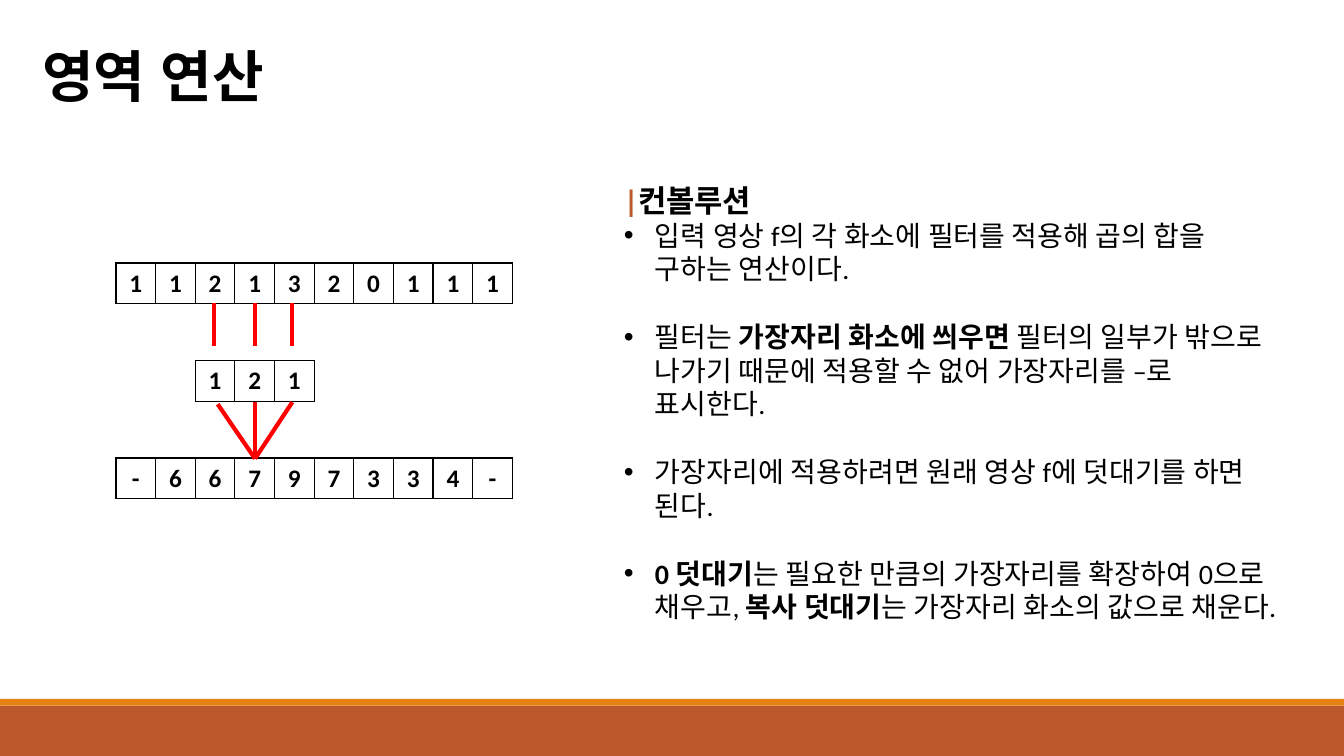
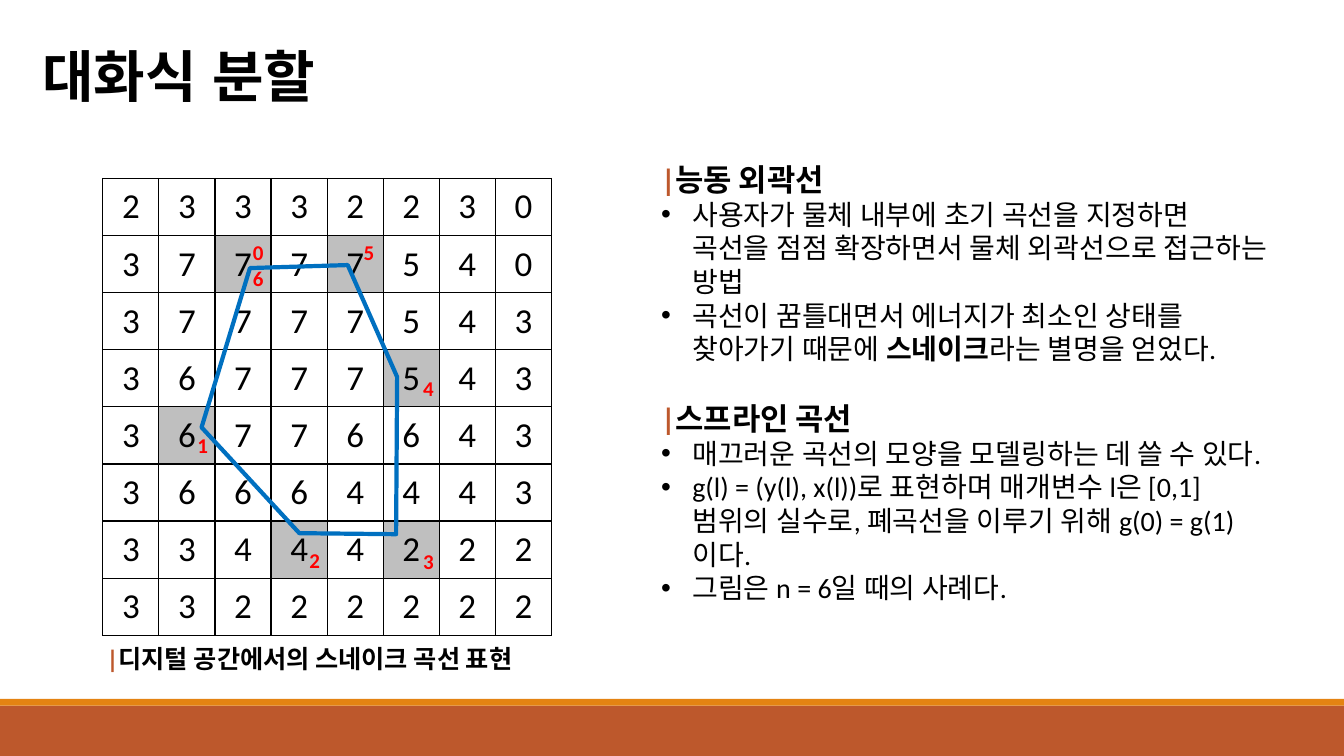
from lxml import etree
from pptx import Presentation
from pptx import util as u
from pptx.dml.color import RGBColor
from pptx.enum import lang, shapes, text
from pptx.oxml.ns import qn

# The slide is a grid of square cells, three to the inch.
CELL = u.Inches(1) // 3
COLUMNS, ROWS = 40, 22.5

BLACK, WHITE, GREY = "000000", "FFFFFF", "BFBFBF"
RUST, ORANGE, RED, BLUE = "BD582C", "E48312", "FF0000", "0070C0"
TITLE_FONT, BODY_FONT = "Noto Sans CJK KR", "Calibri"
BLANK_LINE = 24.4


def color(code):
    return RGBColor.from_string(code)


def grid(*cells):
    """Turn grid cells into lengths."""
    return [u.Emu(round(count * CELL)) for count in cells]


def write(para, words, size=20, fill=BLACK, bold=False, font=BODY_FONT):
    """Add a span to a paragraph, with one font for Latin and Korean."""
    span = para.add_run()
    span.text = words
    span.font.size, span.font.bold, span.font.name = u.Pt(size), bold, font
    span.font.color.rgb = color(fill)
    span.font.language_id = lang.MSO_LANGUAGE_ID.KOREAN
    latin = span.font._element.find(qn("a:latin"))
    east_asian = etree.Element(qn("a:ea"), typeface=font)
    latin.addnext(east_asian)


def write_heading(para, words, size=22):
    write(para, "|", size=size, fill=RUST, bold=True)
    write(para, words, size=size, bold=True)


def write_bullet(para, words):
    """Write a bulleted paragraph; words between ** are bold."""
    properties = para._p.get_or_add_pPr()
    indent = u.Inches(0.31)
    properties.set("marL", str(indent))
    properties.set("indent", str(-indent))
    etree.SubElement(properties, qn("a:buFont"), typeface="Arial")
    etree.SubElement(properties, qn("a:buChar"), char="•")
    for index, part in enumerate(words.split("**")):
        if part:
            write(para, part, bold=index % 2 == 1)


def add_borders(cell):
    properties = cell._tc.get_or_add_tcPr()
    for index, side in enumerate(("lnL", "lnR", "lnT", "lnB")):
        line = etree.Element(qn(f"a:{side}"), w=str(u.Pt(1)))
        fill = etree.SubElement(line, qn("a:solidFill"))
        etree.SubElement(fill, qn("a:srgbClr"), val=BLACK)
        properties.insert(index, line)


class Lecture:
    """The deck, its shared style and the slide being filled."""

    def __init__(self):
        self.deck = Presentation()
        self.deck.slide_width, self.deck.slide_height = grid(COLUMNS, ROWS)
        self.layout = self.deck.slide_layouts.get_by_name("Title Only")
        self.page = None

    def open_slide(self, title, width):
        first = self.page is None
        self.page = self.deck.slides.add_slide(self.layout)
        if first:
            self.add_layout_band(21, 1.5, RUST)
            self.add_layout_band(20.8, 0.2, ORANGE)
        box = self.page.shapes.title
        box.left, box.top, box.width, box.height = grid(0.96, 1.08, width, 2.3)
        frame = box.text_frame
        frame.auto_size = text.MSO_AUTO_SIZE.NONE
        frame.vertical_anchor = text.MSO_ANCHOR.MIDDLE
        para = frame.paragraphs[0]
        para.alignment = text.PP_ALIGN.LEFT
        write(para, title, size=40, bold=True, font=TITLE_FONT)

    def add_layout_band(self, row, height, fill):
        """Draw a full-width band and hand it to the layout."""
        band = self.page.shapes.add_shape(
            shapes.MSO_SHAPE.RECTANGLE, *grid(0, row, COLUMNS, height))
        band.shadow.inherit = False
        band.fill.solid()
        band.fill.fore_color.rgb = color(fill)
        band.line.fill.background()
        self.layout.shapes._spTree.append(band._element)

    def add_text(self, column, row, width, height):
        """Add a wrapping text box and return its frame."""
        box = self.page.shapes.add_textbox(*grid(column, row, width, height))
        box.text_frame.word_wrap = True
        return box.text_frame

    def add_sections(self, column, row, width, sections, spaced=False):
        """Write headings with bullets; spaced sets bullets a line apart."""
        frame = self.add_text(column, row, width, 14.55)
        para = frame.paragraphs[0]
        for number, (heading, bullets) in enumerate(sections):
            if number:
                para = frame.add_paragraph()
                para.space_before = u.Pt(BLANK_LINE)
            write_heading(para, heading)
            for index, words in enumerate(bullets):
                para = frame.add_paragraph()
                if spaced and index:
                    para.space_before = u.Pt(BLANK_LINE)
                write_bullet(para, words)

    def add_caption(self, column, row, words):
        frame = self.add_text(column, row, 15, 1.2)
        write_heading(frame.paragraphs[0], words, size=18)

    def add_point_labels(self, column, row, labels):
        frame = self.add_text(column, row, 1.44, 0.27 + 0.78 * len(labels))
        for index, label in enumerate(labels):
            para = frame.add_paragraph() if index else frame.paragraphs[0]
            write(para, label, size=15, fill=RED, bold=True)

    def add_matrix(self, column, row, lines, cell_size, size=18, bold=True,
                   shaded=(), margins=None):
        """Add a table with one character of each line in each cell."""
        count, (width, height) = len(lines[0]), cell_size
        frame = self.page.shapes.add_table(
            len(lines), count,
            *grid(column, row, count * width, len(lines) * height))
        table = frame.table
        table.first_row = table.horz_banding = False
        for r, line in enumerate(lines):
            for c, value in enumerate(line):
                cell = table.cell(r, c)
                cell.fill.solid()
                cell.fill.fore_color.rgb = color(
                    GREY if (r, c) in shaded else WHITE)
                add_borders(cell)
                if margins:
                    across, down = margins
                    cell.margin_left = cell.margin_right = u.Inches(across)
                    cell.margin_top = cell.margin_bottom = u.Inches(down)
                    cell.vertical_anchor = text.MSO_ANCHOR.MIDDLE
                para = cell.text_frame.paragraphs[0]
                para.alignment = text.PP_ALIGN.CENTER
                write(para, value, size=size, bold=bold)

    def add_line(self, start, end):
        line = self.page.shapes.add_connector(
            shapes.MSO_CONNECTOR.STRAIGHT, *grid(*start, *end))
        line.line.color.rgb = color(RED)
        line.line.width = u.Pt(3)
        etree.SubElement(line._element.spPr, qn("a:effectLst"))

    def add_outline(self, points):
        """Draw a closed, unfilled polygon."""
        start, *rest = [grid(*point) for point in points]
        builder = self.page.shapes.build_freeform(*start)
        builder.add_line_segments(rest, close=True)
        outline = builder.convert_to_shape()
        outline.shadow.inherit = False
        outline.fill.background()
        outline.line.color.rgb = color(BLUE)
        outline.line.width = u.Pt(3)


def build_convolution(lecture):
    lecture.open_slide("영역 연산", 7.92)
    lecture.add_sections(18.27, 5.25, 19.89, [("컨볼루션", [
        "입력 영상 f의 각 화소에 필터를 적용해 곱의 합을 구하는 연산이다.",
        "필터는 **가장자리 화소에 씌우면 **필터의 일부가 밖으로 나가기 때문에 "
        "적용할 수 없어 가장자리를 –로 표시한다.",
        "가장자리에 적용하려면 원래 영상 f에 덧대기를 하면 된다.",
        "**0 덧대기**는 필요한 만큼의 가장자리를 확장하여 0으로 채우고, "
        "**복사 덧대기**는 가장자리 화소의 값으로 채운다.",
    ])], spaced=True)

    left, top, step = 3.45, 7.83, 2.9
    cell_width, cell_height = 1.18, 1.21
    signals = [("1121320111", 0), ("121", 2), ("-66797334-", 0)]
    for index, (values, offset) in enumerate(signals):
        lecture.add_matrix(left + offset * cell_width, top + index * step,
                           [values], (cell_width, cell_height))

    for column in (6.36, 7.59, 8.7):
        lecture.add_line((column, 9.03), (column, 10.29))
    result = (7.59, 13.65)
    for start in ((8.7, 11.97), (6.48, 12.03), (7.59, 11.97)):
        lecture.add_line(start, result)


def build_snake(lecture):
    lecture.open_slide("대화식 분할", 9.6)
    lecture.add_sections(19.38, 4.62, 18.72, [
        ("능동 외곽선", [
            "사용자가 물체 내부에 초기 곡선을 지정하면 곡선을 점점 확장하면서 "
            "물체 외곽선으로 접근하는 방법",
            "곡선이 꿈틀대면서 에너지가 최소인 상태를 찾아가기 때문에 "
            "**스네이크**라는 별명을 얻었다.",
        ]),
        ("스프라인 곡선", [
            "매끄러운 곡선의 모양을 모델링하는 데 쓸 수 있다.",
            "g(l) = (y(l), x(l))로 표현하며 매개변수 l은 [0,1] 범위의 실수로, "
            "폐곡선을 이루기 위해 g(0) = g(1)이다.",
            "그림은 n = 6일 때의 사례다.",
        ]),
    ])
    pixels = ["23332230", "37777540", "37777543", "36777543",
              "36776643", "36664443", "33444222", "33222222"]
    lecture.add_matrix(
        3.06, 5.31, pixels, (1.67, 1.7), size=25, bold=False,
        shaded={(1, 2), (1, 4), (3, 5), (4, 1), (6, 3), (6, 5)},
        margins=(0.14, 0.07))
    lecture.add_outline([(7.44, 7.98), (10.35, 7.89), (11.82, 11.22),
                         (11.79, 15.9), (8.91, 15.87), (6, 12.72)])
    lecture.add_caption(2.88, 18.99, "디지털 공간에서의 스네이크 곡선 표현")
    for column, row, labels in (
            (7.23, 6.99, "06"), (10.53, 6.99, "5"), (5.58, 12.72, "1"),
            (8.91, 16.14, "2"), (12.3, 16.17, "3"), (12.3, 11.04, "4")):
        lecture.add_point_labels(column, row, labels)


def main():
    lecture = Lecture()
    build_convolution(lecture)
    build_snake(lecture)
    lecture.deck.save("out.pptx")


if __name__ == "__main__":
    main()
